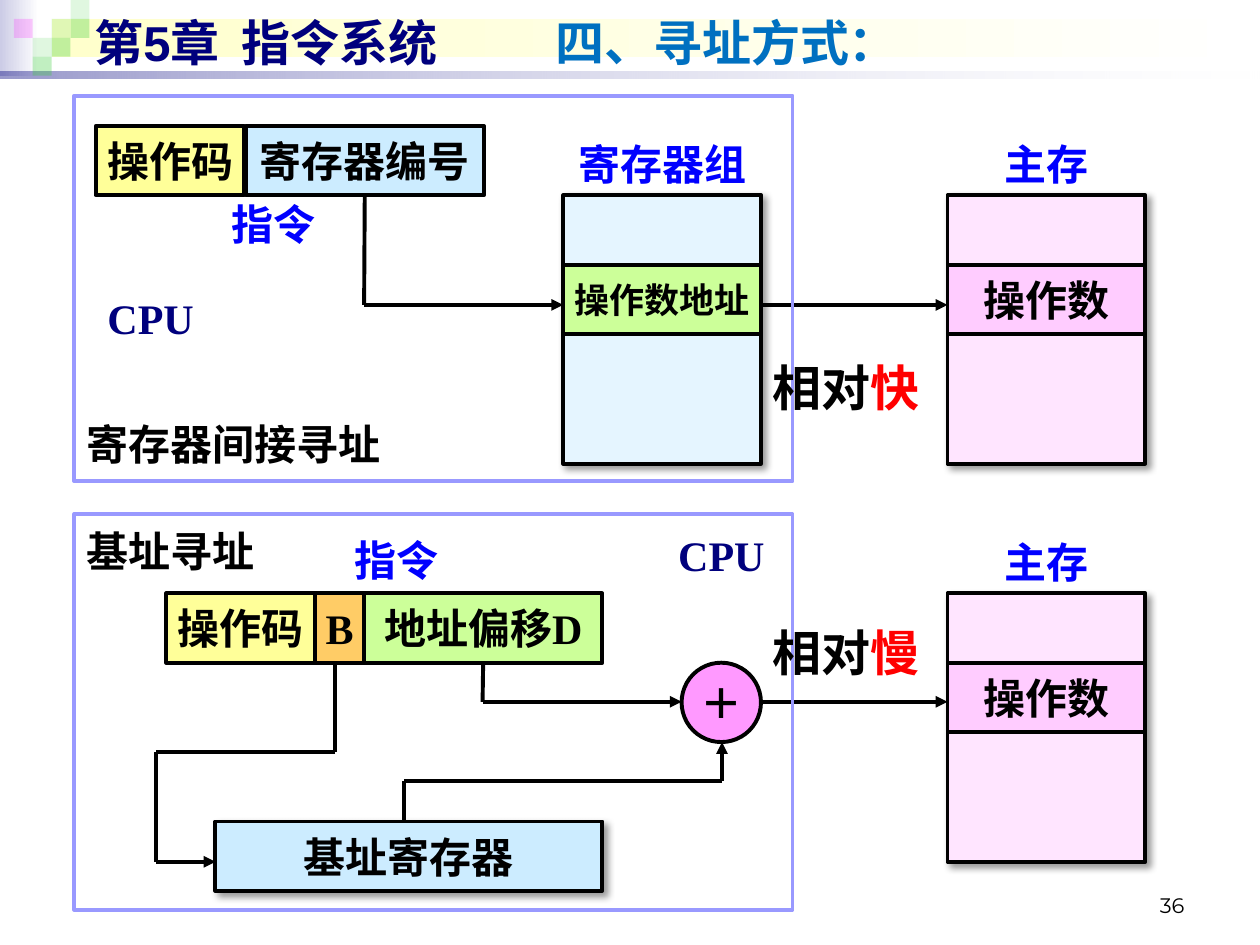
from lxml import etree
from pptx import Presentation
from pptx.dml.color import RGBColor
from pptx.enum.lang import MSO_LANGUAGE_ID
from pptx.enum.shapes import MSO_CONNECTOR, MSO_SHAPE
from pptx.enum.text import MSO_ANCHOR, MSO_AUTO_SIZE, PP_ALIGN
from pptx.oxml.ns import qn
from pptx.util import Inches, Pt

RECT, OVAL = MSO_SHAPE.RECTANGLE, MSO_SHAPE.OVAL
STRAIGHT = MSO_CONNECTOR.STRAIGHT
LEFT, CENTER, RIGHT = PP_ALIGN.LEFT, PP_ALIGN.CENTER, PP_ALIGN.RIGHT
TOP, MIDDLE, BOTTOM = MSO_ANCHOR.TOP, MSO_ANCHOR.MIDDLE, MSO_ANCHOR.BOTTOM
GROW = MSO_AUTO_SIZE.SHAPE_TO_FIT_TEXT
CHINESE = MSO_LANGUAGE_ID.SIMPLIFIED_CHINESE

BLACK = RGBColor(0x00, 0x00, 0x00)
WHITE = RGBColor(0xFF, 0xFF, 0xFF)
NAVY = RGBColor(0x00, 0x00, 0x7D)
BLUE = RGBColor(0x00, 0x00, 0xFF)
TOPIC_BLUE = RGBColor(0x00, 0x70, 0xC0)
RED = RGBColor(0xFF, 0x00, 0x00)
FRAME = RGBColor(0x99, 0x99, 0xFF)
LAVENDER = RGBColor(0xCC, 0xCC, 0xE6)
CREAM = RGBColor(0xFF, 0xFF, 0xCC)
GREEN = RGBColor(0x33, 0xCC, 0x33)
MAGENTA = RGBColor(0xFF, 0x00, 0xFF)
YELLOW = RGBColor(0xFF, 0xFF, 0x99)
ORANGE = RGBColor(0xFF, 0xCC, 0x66)
LIME = RGBColor(0xCC, 0xFF, 0x99)
SKY = RGBColor(0xCC, 0xEC, 0xFF)
PALE_SKY = RGBColor(0xE5, 0xF5, 0xFF)
PINK = RGBColor(0xFF, 0xCC, 0xFF)
PALE_PINK = RGBColor(0xFF, 0xE5, 0xFF)
ADDER_PINK = RGBColor(0xFF, 0x99, 0xFF)

SERIF, CJK = "Times New Roman", "Noto Sans CJK SC"

prs = Presentation()
prs.slide_width, prs.slide_height = Inches(10), Inches(7.5)
slide = prs.slides.add_slide(prs.slide_layouts[5])
shapes = slide.shapes


def write(shape, runs, align=CENTER, anchor=MIDDLE, wrap=False, bold=True):
    frame = shape.text_frame
    frame.word_wrap = wrap
    frame.vertical_anchor = anchor
    paragraph = frame.paragraphs[0]
    paragraph.alignment = align
    for text, size, color, font_name in runs:
        run = paragraph.add_run()
        run.text = text
        font = run.font
        font.size, font.name, font.bold = Pt(size), font_name, bold
        font.color.rgb = color
        font.language_id = CHINESE
        etree.SubElement(font._element, qn("a:ea"), typeface=CJK)


def add_block(kind, bounds, fill=None, line=BLACK, shadow=False):
    block = shapes.add_shape(kind, *map(Inches, bounds))
    block.shadow.inherit = False
    if fill is None:
        block.fill.background()
    else:
        block.fill.solid()
        block.fill.fore_color.rgb = fill
    if line is None:
        block.line.fill.background()
    else:
        block.line.color.rgb = line
        block.line.width = Pt(2.25)
    if shadow:
        effects = block._element.spPr.find(qn("a:effectLst"))
        outer = etree.SubElement(effects, qn("a:outerShdw"), blurRad=str(Pt(4)),
                                 dist=str(Pt(3)), dir="2700000", algn="tl", rotWithShape="0")
        color = etree.SubElement(outer, qn("a:srgbClr"), val=str(BLACK))
        etree.SubElement(color, qn("a:alpha"), val="40000")
    return block


bands = [
    ((0, 0, 0.31, 0.6), LAVENDER, None),
    ((0.41, 0.15, 9.55, 0.3), CREAM, None),
    ((0, 0.57, 10, 0.05), NAVY, (40, 10)),
]
for bounds, start_color, opacities in bands:
    band = add_block(RECT, bounds, line=None)
    band.fill.gradient()
    band.fill.gradient_angle = 0
    for stop, color in zip(band.fill.gradient_stops, (start_color, WHITE)):
        stop.color.rgb = color
    if opacities:
        for color, opacity in zip(band._element.spPr.iter(qn("a:srgbClr")), opacities):
            etree.SubElement(color, qn("a:alpha"), val=str(opacity * 1000))

TILE = 0.15
tiles = [(2, 1, GREEN, 15), (3, 0, GREEN, 15), (3, 1, GREEN, 30), (1, 2, GREEN, 15),
         (0, 1, MAGENTA, 20), (2, 2, GREEN, 30), (1, 3, GREEN, 30)]
for column, row, color, opacity in tiles:
    tile = add_block(RECT, (0.11 + column * TILE, row * TILE, TILE, TILE), color, None)
    tile_color = next(tile._element.spPr.iter(qn("a:srgbClr")))
    etree.SubElement(tile_color, qn("a:alpha"), val=str(opacity * 1000))

title = shapes.title
title.left, title.top, title.width, title.height = map(Inches, (0.65, 0.05, 9, 0.57))
write(title, [("第5章  指令系统", 28, NAVY, "Arial")], LEFT, wrap=True)
shapes._spTree.append(title._element)

CELL = 0.55
STORE_W, STORE_H = 1.57, 2.13
REGISTERS_X, MEMORY_X = 4.47, 7.52
UPPER_Y, LOWER_Y = 1.55, 4.71
stores = [
    (REGISTERS_X, UPPER_Y, PALE_SKY, LIME, "操作数地址", 20, "寄存器组"),
    (MEMORY_X, UPPER_Y, PALE_PINK, PINK, "操作数", 24, "主存"),
    (MEMORY_X, LOWER_Y, PALE_PINK, PINK, "操作数", 24, "主存"),
]
labels = []
for x, y, fill, cell_fill, content, size, heading in stores:
    add_block(RECT, (x, y, STORE_W, STORE_H), fill, shadow=True)
    cell = add_block(RECT, (x, y + CELL, STORE_W, CELL), cell_fill)
    write(cell, [(content, size, BLACK, SERIF)])
    labels.append(((x, y - 0.5, STORE_W, 0.5), [(heading, 24, BLUE, SERIF)], CENTER, True))

fields = [
    (0.76, 1, 1.18, YELLOW, "操作码", False),
    (1.95, 1, 1.89, SKY, "寄存器编号", False),
    (2.5, LOWER_Y, 0.39, ORANGE, "B", False),
    (2.89, LOWER_Y, 1.89, LIME, "地址偏移D", False),
    (1.32, LOWER_Y, 1.18, YELLOW, "操作码", False),
    (1.71, 6.52, 3.07, SKY, "基址寄存器", True),
]
field_blocks = {}
for x, y, width, fill, content, shadow in fields:
    field = add_block(RECT, (x, y, width, CELL), fill, shadow=shadow)
    write(field, [(content, 24, BLACK, SERIF)])
    field_blocks[content] = field

adder = add_block(OVAL, (5.41, 5.26, 0.63, 0.63), ADDER_PINK)
write(adder, [("＋", 24, BLACK, SERIF)])

routes = [
    ("寄存器编号", [(2.89, 1.55), (2.89, 2.42), (4.47, 2.42)]),
    (None, [(6.04, 2.42), (7.52, 2.42)]),
    ("地址偏移D", [(3.83, 5.26), (3.83, 5.57), (5.41, 5.57)]),
    (None, [(6.04, 5.57), (7.52, 5.57)]),
    (None, [(3.21, 6.52), (3.21, 6.2), (5.73, 6.2), (5.73, 5.89)]),
    (None, [(2.66, 5.26), (2.66, 5.97), (1.24, 5.97), (1.24, 6.84), (1.71, 6.84)]),
]
for source, points in routes:
    for index, (start, end) in enumerate(zip(points, points[1:])):
        segment = shapes.add_connector(STRAIGHT, *map(Inches, start + end))
        segment.line.color.rgb = BLACK
        segment.line.width = Pt(2.25)
        if source and index == 0:
            segment.begin_connect(field_blocks[source], 2)
        if end == points[-1]:
            etree.SubElement(segment.line._get_or_add_ln(), qn("a:tailEnd"), type="triangle")
        etree.SubElement(segment._element.spPr, qn("a:effectLst"))

for y, height in ((0.76, 3.06), (4.08, 3.14)):
    add_block(RECT, (0.59, y, 5.7, height), line=FRAME)

labels += [
    ((0.59, 3.27, 3.31, 0.5), [("寄存器间接寻址", 24, BLACK, SERIF)], LEFT, True),
    ((0.59, 4.12, 2.44, 0.5), [("基址寻址", 24, BLACK, SERIF)], LEFT, True),
    ((1.47, 1.53, 1.4, 0.5), [("指令", 24, BLUE, SERIF)], CENTER, True),
    ((1.61, 4.19, 3.07, 0.5), [("指令", 24, BLUE, SERIF)], CENTER, True),
    ((0.74, 2.27, 0.91, 0.5), [("CPU", 24, NAVY, SERIF)], CENTER, True),
    ((5.28, 4.15, 0.89, 0.5), [("CPU", 24, NAVY, SERIF)], CENTER, False),
    ((4.31, 0.05, 2.96, 0.57), [("四、寻址方式：", 28, TOPIC_BLUE, CJK)], LEFT, False),
]
for y, speed in ((2.79, "快"), (4.89, "慢")):
    verdict = [("相对", 28, BLACK, SERIF), (speed, 28, RED, CJK)]
    labels.append(((6.02, y, 1.39, 0.57), verdict, CENTER, False))
for bounds, runs, align, wrap in labels:
    label = shapes.add_textbox(*map(Inches, bounds))
    write(label, runs, align, TOP, wrap)
    label.text_frame.auto_size = GROW

page_number = shapes.add_textbox(*map(Inches, (7.17, 6.98, 2.33, 0.35)))
write(page_number, [("36", 12, BLACK, "Montserrat")], RIGHT, BOTTOM, True, None)

prs.save("out.pptx")
